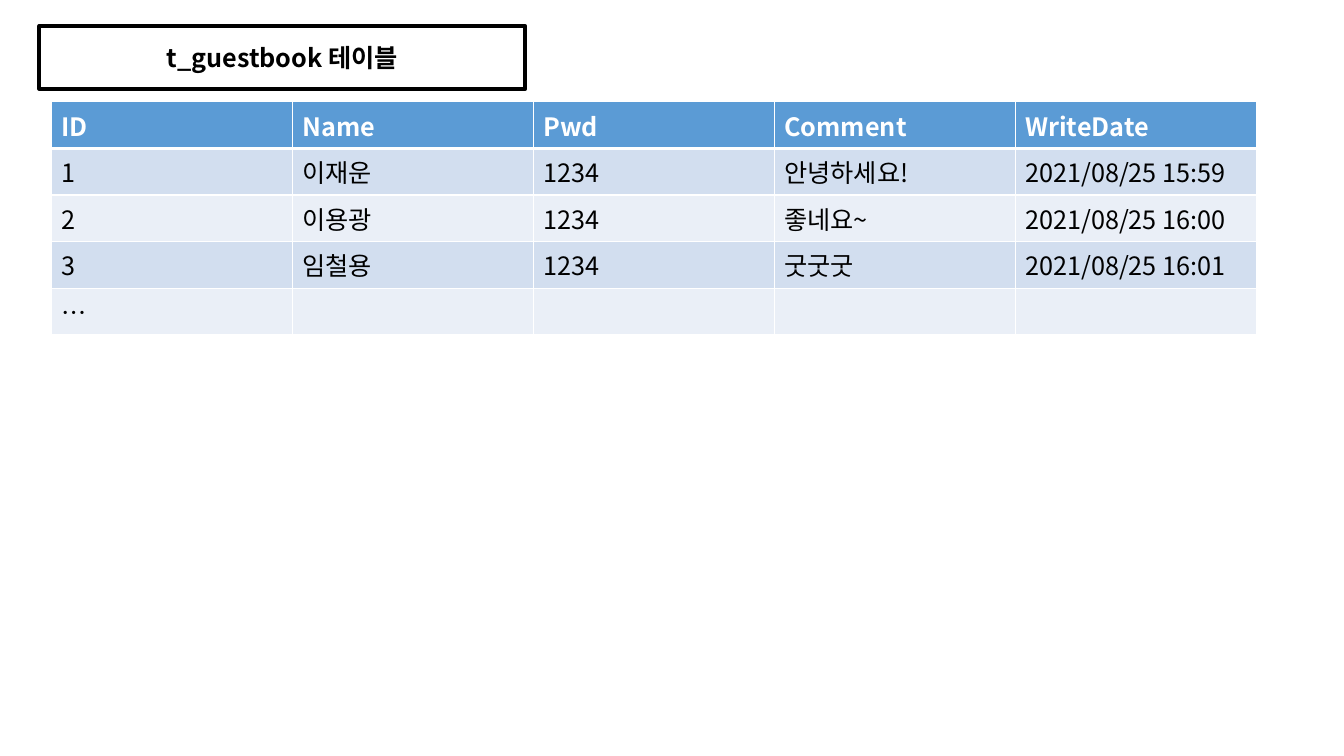
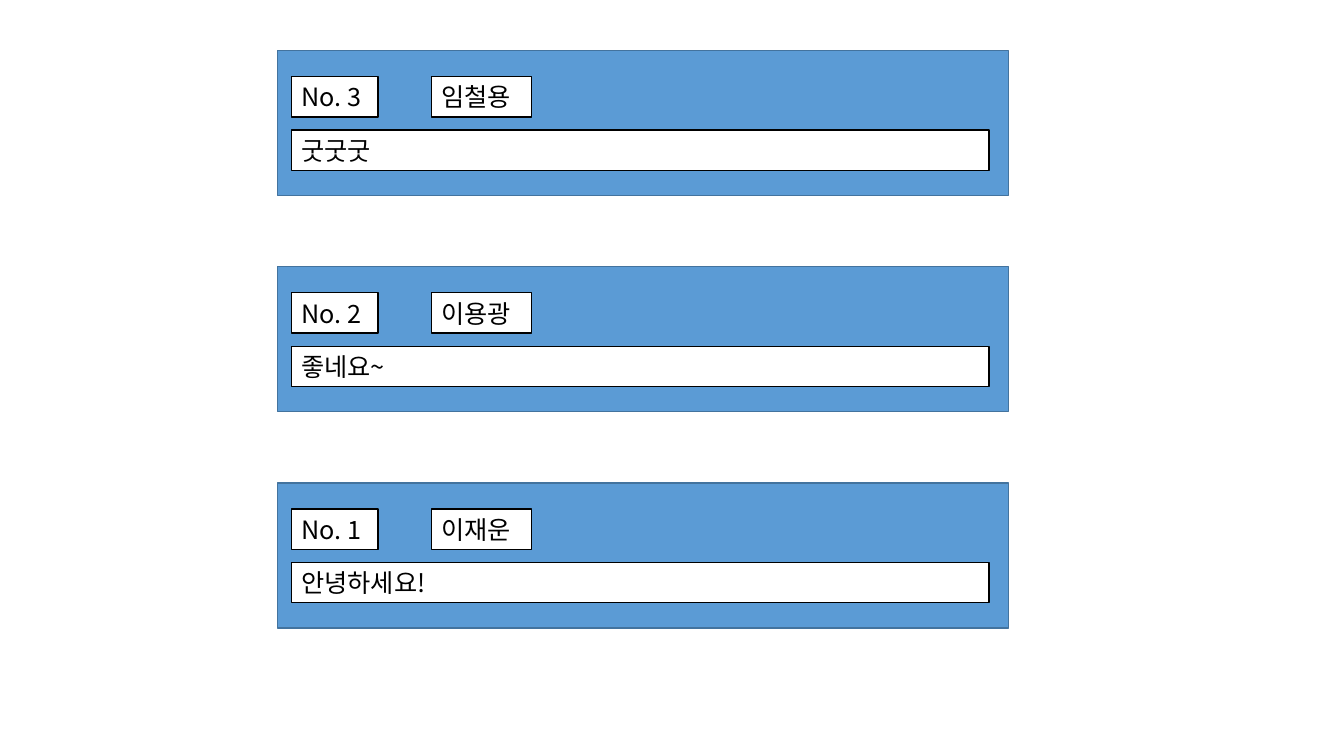
import pptx
import pptx.dml.color
import pptx.enum.shapes
import pptx.enum.text
import pptx.oxml
import pptx.oxml.ns
import pptx.util

Inches = pptx.util.Inches
Pt = pptx.util.Pt
ALIGN = pptx.enum.text.PP_ALIGN

FONT = "Noto Sans CJK KR"
BLUE, BLUE_EDGE = "5B9BD5", "43739E"
BAND_DARK, BAND_LIGHT = "D2DEEF", "EAEFF7"
WHITE, BLACK = "FFFFFF", "000000"

COLUMNS = ["ID", "Name", "Pwd", "Comment", "WriteDate"]
ENTRIES = [
    ["1", "이재운", "1234", "안녕하세요!", "2021/08/25 15:59"],
    ["2", "이용광", "1234", "좋네요~", "2021/08/25 16:00"],
    ["3", "임철용", "1234", "굿굿굿", "2021/08/25 16:01"],
]


def rgb(value):
    """Turn a hex string into a colour."""
    return pptx.dml.color.RGBColor.from_string(value)


def write(frame, text, color=BLACK, size=18, bold=False, align=ALIGN.LEFT):
    """Write one formatted paragraph into a text frame."""
    para = frame.paragraphs[0]
    para.alignment = align
    span = para.add_run()
    span.text = text
    span.font.name = FONT
    span.font.size = Pt(size)
    span.font.bold = bold
    span.font.color.rgb = rgb(color)
    east_asian = pptx.oxml.parse_xml(
        f'<a:ea {pptx.oxml.ns.nsdecls("a")} typeface="{FONT}"/>')
    span.font._element.find(pptx.oxml.ns.qn("a:latin")).addnext(east_asian)


def add_box(page, left, top, width, height, text="", fill=WHITE, edge=BLACK,
            weight=1, **text_format):
    """Draw a filled, outlined rectangle with optional text."""
    box = page.shapes.add_shape(
        pptx.enum.shapes.MSO_SHAPE.RECTANGLE,
        Inches(left), Inches(top), Inches(width), Inches(height))
    box.shadow.inherit = False
    box.fill.solid()
    box.fill.fore_color.rgb = rgb(fill)
    box.line.color.rgb = rgb(edge)
    box.line.width = Pt(weight)
    if text:
        box.text_frame.word_wrap = True
        box.text_frame.vertical_anchor = pptx.enum.text.MSO_ANCHOR.MIDDLE
        write(box.text_frame, text, **text_format)


def set_borders(cell, **weights):
    """Give a cell white borders of the given weights in points."""
    properties = cell._tc.get_or_add_tcPr()
    for index, side in enumerate("LRTB"):
        border = pptx.oxml.parse_xml(
            f'<a:ln{side} {pptx.oxml.ns.nsdecls("a")} w="{Pt(weights.get(side, 1))}">'
            f'<a:solidFill><a:srgbClr val="{WHITE}"/></a:solidFill></a:ln{side}>')
        properties.insert(index, border)


def add_records(page, left, top, width, row_height, rows):
    """Place a banded table whose first row is the header."""
    table = page.shapes.add_table(
        len(rows), len(rows[0]), Inches(left), Inches(top),
        Inches(width), Inches(row_height * len(rows))).table
    for row_index, row in enumerate(rows):
        header = row_index == 0
        fill = BLUE if header else (BAND_LIGHT, BAND_DARK)[row_index % 2]
        for column_index, text in enumerate(row):
            cell = table.cell(row_index, column_index)
            cell.fill.solid()
            cell.fill.fore_color.rgb = rgb(fill)
            set_borders(cell, T=3 if row_index == 1 else 1, B=3 if header else 1)
            if text:
                write(cell.text_frame, text, bold=header,
                      color=WHITE if header else BLACK)


def add_entry_card(page, left, top, width, height, entry):
    """Place a guestbook card with number, name and comment."""
    number, name, _, comment, _ = entry
    add_box(page, left, top, width, height, fill=BLUE, edge=BLUE_EDGE)
    inset, field_height = 0.14, 0.4
    add_box(page, left + inset, top + 0.26, 0.86, field_height, f"No. {number}")
    add_box(page, left + 1.53, top + 0.26, 0.99, field_height, name)
    add_box(page, left + inset, top + 0.79, width - 0.33, field_height, comment)


def build_table_page(page):
    """Build the slide showing the database table."""
    filler = ["…"] + [""] * (len(COLUMNS) - 1)
    add_records(page, 0.51, 1.01, 11.95, 0.41, [COLUMNS, *ENTRIES, filler])
    add_box(page, 0.39, 0.26, 4.82, 0.62, "t_guestbook 테이블",
            weight=3, bold=True, align=ALIGN.CENTER)


def build_cards_page(page):
    """Build the slide listing the entries, newest first."""
    pitch = 2.145
    for index, entry in enumerate(reversed(ENTRIES)):
        add_entry_card(page, 2.75, 0.5 + index * pitch, 7.25, 1.44, entry)


def main():
    """Build and save the deck."""
    deck = pptx.Presentation()
    deck.slide_width = Inches(13.33)
    deck.slide_height = Inches(7.5)
    for build in (build_table_page, build_cards_page):
        build(deck.slides.add_slide(deck.slide_layouts[6]))
    deck.save("out.pptx")


if __name__ == "__main__":
    main()
